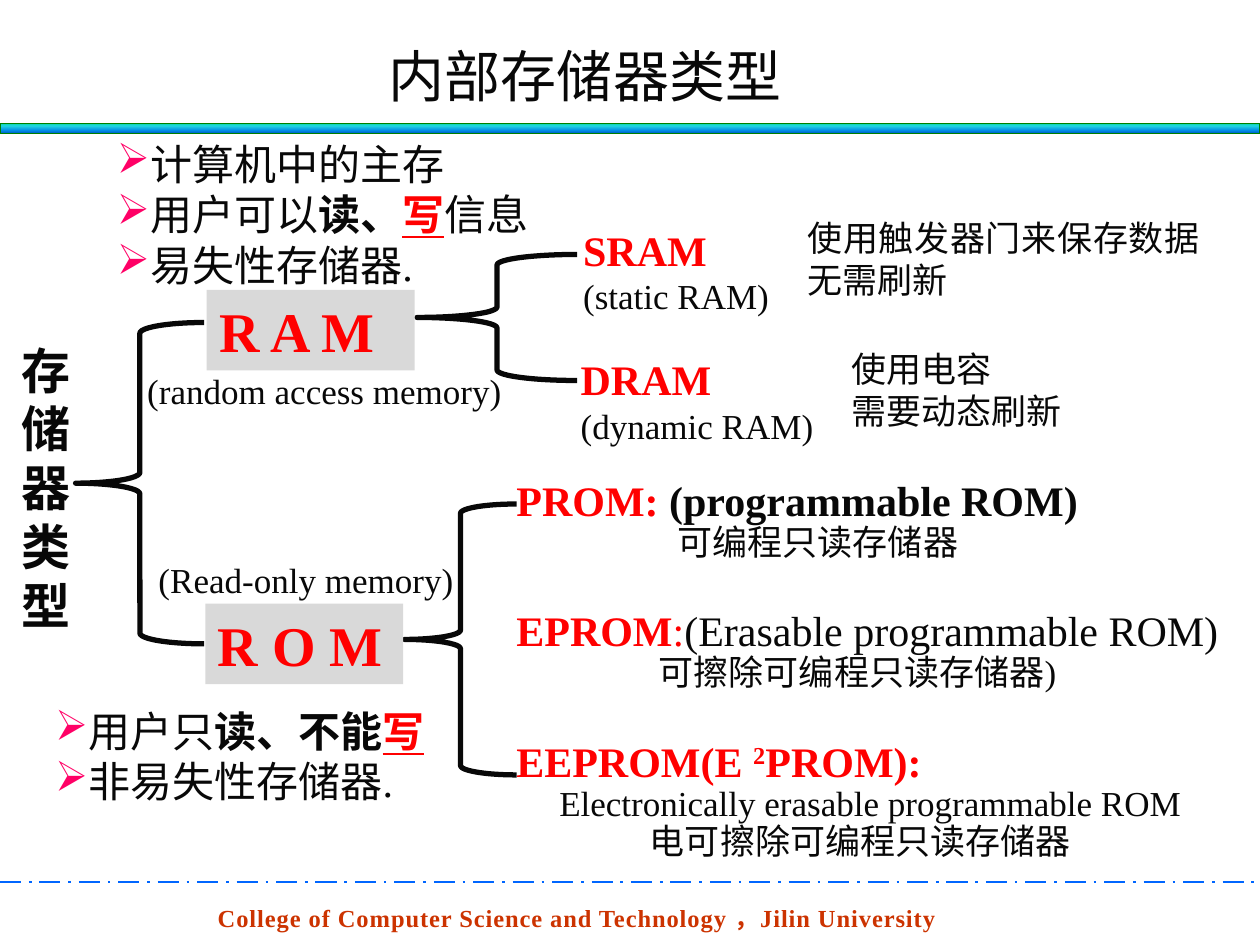
"""Build the slide on types of internal memory."""
from dataclasses import dataclass

from lxml.etree import SubElement as Sub
from pptx import Presentation
from pptx.dml.color import RGBColor as Rgb
from pptx.enum.dml import MSO_LINE as Dash
from pptx.enum.shapes import MSO_CONNECTOR as Link, MSO_SHAPE as Shape
from pptx.enum.text import PP_ALIGN as Align
from pptx.oxml.ns import qn
from pptx.util import Inches, Pt

WIDE, HIGH = Inches(10), Inches(7.5)
COLS, ROWS = 100, 75


@dataclass(frozen=True)
class Theme:
    """Hold the colours, type sizes and font."""
    font: str = "Times New Roman"
    ink: str = "080808"
    red: str = "FF0000"
    pink: str = "FF0066"
    gray: str = "D9D9D9"
    rust: str = "CC3300"
    blue: str = "0066FF"
    green: str = "008000"
    sky: tuple = ((0, "03D4A8"), (25, "21D6E0"), (75, "0087E6"), (100, "005CBF"))
    big: int = 32
    side: int = 28
    head: int = 24
    body: int = 20
    foot: int = 14


T = Theme()


@dataclass(frozen=True)
class Run:
    """Hold a piece of text and its look."""
    text: str
    color: str = T.ink
    bold: bool = False
    under: bool = False
    base: int = 0


@dataclass(frozen=True)
class Para:
    """Hold a paragraph as runs with one size."""
    runs: tuple
    size: int = T.body
    align: Align = Align.LEFT
    bullet: bool = False
    line: float = 1.0
    gap: int = 0
    indent: float = 0
    track: int = 0


def plain(text, size=T.body, color=T.ink, bold=False, **more):
    """Return a paragraph with one run."""
    return Para((Run(text, color, bold),), size, **more)


def spot(*cells):
    """Turn grid columns and rows into lengths."""
    return [int(n * (HIGH / ROWS if i % 2 else WIDE / COLS)) for i, n in enumerate(cells)]


def mark(prop):
    """Give a paragraph an arrow bullet."""
    Sub(Sub(prop, qn("a:buClr")), qn("a:srgbClr"), val=T.pink)
    Sub(prop, qn("a:buChar"), char="➢")


def style(font, run):
    """Set the colour, weight and underline of a font."""
    font.color.rgb = Rgb.from_string(run.color)
    font.bold = run.bold
    font.underline = run.under


def write(frame, paras):
    """Fill a text frame with paragraphs."""
    frame.word_wrap = True
    for i, para in enumerate(paras):
        p = frame.add_paragraph() if i else frame.paragraphs[0]
        p.alignment, p.line_spacing = para.align, para.line
        if para.gap:
            p.space_before = Pt(para.gap)
        prop = p._p.get_or_add_pPr()
        if para.indent:
            prop.set("marL", str(Inches(para.indent)))
        if para.bullet:
            mark(prop)
        p.font.name, p.font.size = T.font, Pt(para.size)
        alike = len(para.runs) == 1
        if alike:
            style(p.font, para.runs[0])
        for run in para.runs:
            r = p.add_run()
            r.text = run.text
            if not alike:
                style(r.font, run)
            if run.base:
                r.font._element.set("baseline", str(run.base * 1000))
            if para.track:
                r.font._element.set("spc", str(para.track))


def label(slide, cells, *paras):
    """Add a text box."""
    write(slide.shapes.add_textbox(*spot(*cells)).text_frame, paras)


def block(slide, cells, text):
    """Add a gray box with a red name."""
    box = slide.shapes.add_shape(Shape.RECTANGLE, *spot(*cells))
    box.shadow.inherit = False
    box.fill.solid()
    box.fill.fore_color.rgb = Rgb.from_string(T.gray)
    box.line.fill.background()
    write(box.text_frame, [plain(text, T.big, T.red, True)])


def brace(slide, cells):
    """Add a left brace."""
    arm = slide.shapes.add_shape(Shape.LEFT_BRACE, *spot(*cells))
    arm.shadow.inherit = False
    arm.fill.background()
    arm.line.color.rgb = Rgb.from_string(T.ink)
    arm.line.width = Pt(3)


def band(slide, cells):
    """Add the gradient bar below the title."""
    bar = slide.shapes.add_shape(Shape.RECTANGLE, *spot(*cells))
    bar.shadow.inherit = False
    bar.fill.gradient()
    bar.fill.gradient_angle = 270
    stops = next(bar._element.iter(qn("a:gsLst")))
    stops.clear()
    for share, color in T.sky:
        stop = Sub(stops, qn("a:gs"), pos=str(share * 1000))
        Sub(stop, qn("a:srgbClr"), val=color)
    bar.line.color.rgb = Rgb.from_string(T.green)
    bar.line.width = Pt(0.75)


def rule(slide, row):
    """Add the dashed line above the footer."""
    line = slide.shapes.add_connector(Link.STRAIGHT, *spot(0, row, COLS, row))
    line.line.color.rgb = Rgb.from_string(T.blue)
    line.line.width = Pt(1.5)
    line.line.dash_style = Dash.LONG_DASH_DOT
    Sub(line._element.spPr, qn("a:effectLst"))


def point(*runs):
    """Return a bulleted paragraph."""
    return Para(runs, T.head, bullet=True)


def kind(slide, cells, name, note):
    """Add a RAM kind with its full name."""
    label(slide, cells, plain(name, T.head, T.red, True), plain(note))


def main():
    """Build and save the slide."""
    deck = Presentation()
    deck.slide_width, deck.slide_height = WIDE, HIGH
    slide = deck.slides.add_slide(deck.slide_layouts[6])
    write_word = Run("写", T.red, True, True)

    label(slide, (16.3, 71.2, 62, 3.3), plain(
        "College of Computer Science and Technology ，Jilin University",
        T.foot, T.rust, True, track=50))
    rule(slide, 70)
    band(slide, (0, 9.8, COLS, 0.8))
    label(slide, (24.8, 2.8, 43.3, 6.4), plain("内部存储器类型", T.big, align=Align.CENTER))
    label(slide, (0.7, 26.5, 7.1, 24.6), plain("存储器类型", T.side, bold=True))

    for cells in ((6, 25.6, 10.2, 25.5), (33.1, 20.2, 12.7, 10), (32.1, 40, 8.9, 21.5)):
        brace(slide, cells)
    block(slide, (16.4, 23, 16.5, 6.4), "R A M")
    block(slide, (16.3, 47.9, 15.7, 6.4), "R O M")
    label(slide, (10.7, 28.8, 31.1, 4.4), plain("(random access memory)"))
    label(slide, (11.6, 44.2, 27, 4), plain("(Read-only memory)", line=0.9))

    label(slide, (8.3, 10.5, 35.4, 13.1),
          point(Run("计算机中的主存")),
          point(Run("用户可以"), Run("读、", bold=True), write_word, Run("信息")),
          point(Run("易失性存储器.")))
    label(slide, (3.4, 55.5, 35.4, 9.1),
          point(Run("用户只"), Run("读、不能", bold=True), write_word),
          point(Run("非易失性存储器.")))

    kind(slide, (45.3, 17.3, 18, 8.4), "SRAM", "(static RAM)")
    kind(slide, (45.1, 27.6, 22.1, 8.4), "DRAM", "(dynamic RAM)")
    label(slide, (63.1, 16.7, 33.1, 7.7),
          plain("使用触发器门来保存数据无需刷新", align=Align.JUSTIFY))
    label(slide, (66.6, 27.1, 18.9, 7.7), plain("使用电容"), plain("需要动态刷新"))

    label(slide, (40, 37.6, 58.9, 33.1),
          Para((Run("PROM: ", T.red, True), Run("(programmable ROM)", bold=True)),
               T.head, line=0.9),
          plain("可编程只读存储器", line=0.9, indent=1.28),
          Para((Run("EPROM", T.red, True), Run(":", T.red),
                Run("(Erasable programmable ROM)")), T.head, line=0.9, gap=27),
          plain("可擦除可编程只读存储器)", line=0.9, indent=1.13),
          Para((Run("EEPROM(E ", T.red, True), Run("2", T.red, True, base=30),
                Run("PROM):", T.red, True)), T.head, line=0.9, gap=27),
          plain("Electronically erasable programmable ROM", line=0.9, indent=0.34),
          plain("电可擦除可编程只读存储器", line=0.9, indent=1.06))
    deck.save("out.pptx")


if __name__ == "__main__":
    main()
